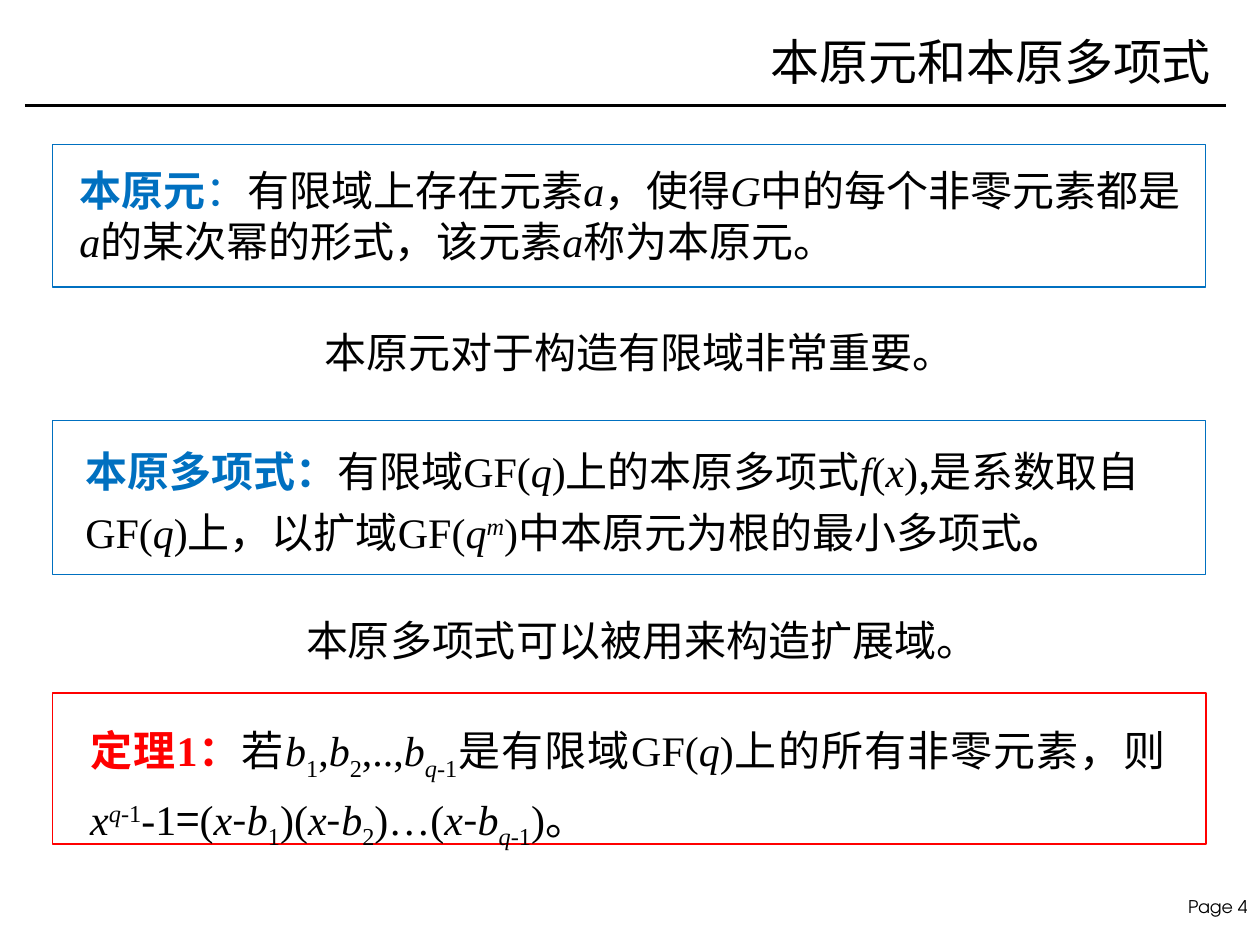
from lxml.etree import SubElement
from pptx import Presentation
from pptx.dml.color import RGBColor
from pptx.enum.shapes import MSO_CONNECTOR, MSO_SHAPE
from pptx.enum.text import MSO_ANCHOR, PP_ALIGN
from pptx.oxml.ns import qn
from pptx.util import Cm, Pt

COLORS = {"black": "000000", "blue": "0070C0", "red": "FF0000", "white": "FFFFFF"}
HAN = "Noto Sans CJK SC"
ROMAN = "Times New Roman"
SANS = "Arial"
STYLES = {
    "han": {"font": HAN},
    "sans": {"font": SANS},
    "roman": {"font": ROMAN},
    "math": {"font": ROMAN, "italic": True},
    "sub": {"font": ROMAN, "baseline": -25},
    "math_sub": {"font": ROMAN, "italic": True, "baseline": -25},
    "sup": {"font": ROMAN, "baseline": 30},
    "math_sup": {"font": ROMAN, "italic": True, "baseline": 30},
    "page": {"font": "TeX Gyre Adventor"},
    "stop": {"font": HAN, "bold": True},
    "blue_term": {"font": HAN, "bold": True, "color": "blue"},
    "blue_colon": {"font": ROMAN, "color": "blue"},
    "red_term": {"font": SANS, "bold": True, "color": "red"},
    "red_number": {"font": ROMAN, "bold": True, "color": "red"},
}


class SlideWriter:
    def __init__(self, page):
        self.page = page

    def color(self, name):
        return RGBColor.from_string(COLORS[name])

    def rule(self, left, top, right, width):
        line = self.page.shapes.add_connector(
            MSO_CONNECTOR.STRAIGHT, Cm(left), Cm(top), Cm(right), Cm(top))
        line.line.color.rgb = self.color("black")
        line.line.width = Pt(width)
        SubElement(line._element.spPr, qn("a:effectLst"))

    def frame(self, top, height, color, width, fill=None):
        frame = self.page.shapes.add_shape(
            MSO_SHAPE.RECTANGLE, Cm(1.06), Cm(top), Cm(23.25), Cm(height))
        frame.shadow.inherit = False
        if fill:
            frame.fill.solid()
            frame.fill.fore_color.rgb = self.color(fill)
        else:
            frame.fill.background()
        frame.line.color.rgb = self.color(color)
        frame.line.width = Pt(width)

    def text(self, place, spans, size=24, align=PP_ALIGN.LEFT, spacing=None,
             anchor=MSO_ANCHOR.TOP, wrap=True):
        box = self.page.shapes.add_textbox(*(Cm(length) for length in place))
        box.text_frame.word_wrap = wrap
        box.text_frame.vertical_anchor = anchor
        para = box.text_frame.paragraphs[0]
        para.alignment = align
        if spacing:
            para.line_spacing = spacing
        for words, style in spans:
            self.span(para, words, size, **STYLES[style])

    def span(self, para, words, size, font, color="black", bold=False,
             italic=False, baseline=0):
        span = para.add_run()
        span.text = words
        span.font.size = Pt(size)
        span.font.bold = bold
        span.font.italic = italic
        span.font.color.rgb = self.color(color)
        span.font.name = font
        properties = span.font._element
        SubElement(properties, qn("a:ea")).set("typeface", HAN)
        if baseline:
            properties.set("baseline", str(baseline * 1000))


def field(size=()):
    return [("GF(", "roman"), ("q", "math"), *size, (")", "roman")]


def factor(index):
    return [("x", "math"), ("-", "han"), ("b", "math"), *index]


def main():
    deck = Presentation()
    deck.slide_width, deck.slide_height = Cm(25.4), Cm(19.05)
    writer = SlideWriter(deck.slides.add_slide(deck.slide_layouts[6]))

    writer.text((23.37, 17.93, 2.03, 0.66), [("Page 4", "page")], size=10,
                align=PP_ALIGN.RIGHT, wrap=False)
    writer.rule(0.5, 2.13, 24.71, 2)
    writer.text((13, 0.28, 11.66, 1.9), [("本原元和本原多项式", "han")], size=28,
                align=PP_ALIGN.RIGHT, anchor=MSO_ANCHOR.MIDDLE)

    writer.frame(2.91, 2.88, "blue", 0.75)
    writer.text((1.35, 3.2, 22.83, 2.31), [
        ("本原元", "blue_term"), ("：", "blue_colon"),
        ("有限域上存在元素", "han"), ("a", "math"),
        ("，使得", "han"), ("G", "math"),
        ("中的每个非零元素都是", "han"), ("a", "math"),
        ("的某次幂的形式，该元素", "roman"), ("a", "math"),
        ("称为本原元。", "roman"),
    ])

    writer.frame(8.48, 3.1, "blue", 0.75)
    writer.text((1.47, 8.66, 22.45, 2.72), [
        ("本原多项式：", "blue_term"), ("有限域", "han"), *field(),
        ("上的本原多项式", "han"), ("f", "math"), ("(", "roman"), ("x", "math"),
        (")", "roman"), (",是", "han"), ("系数取自", "sans"), *field(),
        ("上，以扩域", "sans"), *field([("m", "math_sup")]),
        ("中本原元为根的最小多项式", "sans"), ("。", "stop"),
    ], spacing=1.2)

    writer.frame(13.97, 3.05, "red", 1, fill="white")
    writer.text((1.57, 14.25, 22.17, 2.72), [
        ("定理", "red_term"), ("1", "red_number"), ("：", "red_term"),
        ("若", "sans"), ("b", "math"), ("1", "sub"), (",", "roman"),
        ("b", "math"), ("2", "sub"), (",..,", "roman"),
        ("b", "math"), ("q", "math_sub"), ("-1", "sub"),
        ("是", "sans"), ("有限域", "han"), *field(),
        ("上的所有非零元素，则", "han"),
        ("x", "math"), ("q", "math_sup"), ("-1", "sup"), ("-1", "roman"),
        ("=", "han"), ("(", "roman"), *factor([("1", "sub")]),
        (")(", "roman"), *factor([("2", "sub")]),
        (")…(", "roman"), *factor([("q-", "math_sub"), ("1", "sub")]),
        (")", "roman"), ("。", "han"),
    ], align=PP_ALIGN.JUSTIFY, spacing=1.2)

    writer.text((6.3, 6.45, 13.34, 1.27),
                [("本原元对于构造有限域非常重要", "roman"), ("。", "han")])
    writer.text((5.92, 12.27, 14.15, 1.27),
                [("本原多项式可以被用来构造扩展域", "sans"), ("。", "han")])

    deck.save("out.pptx")


if __name__ == "__main__":
    main()
